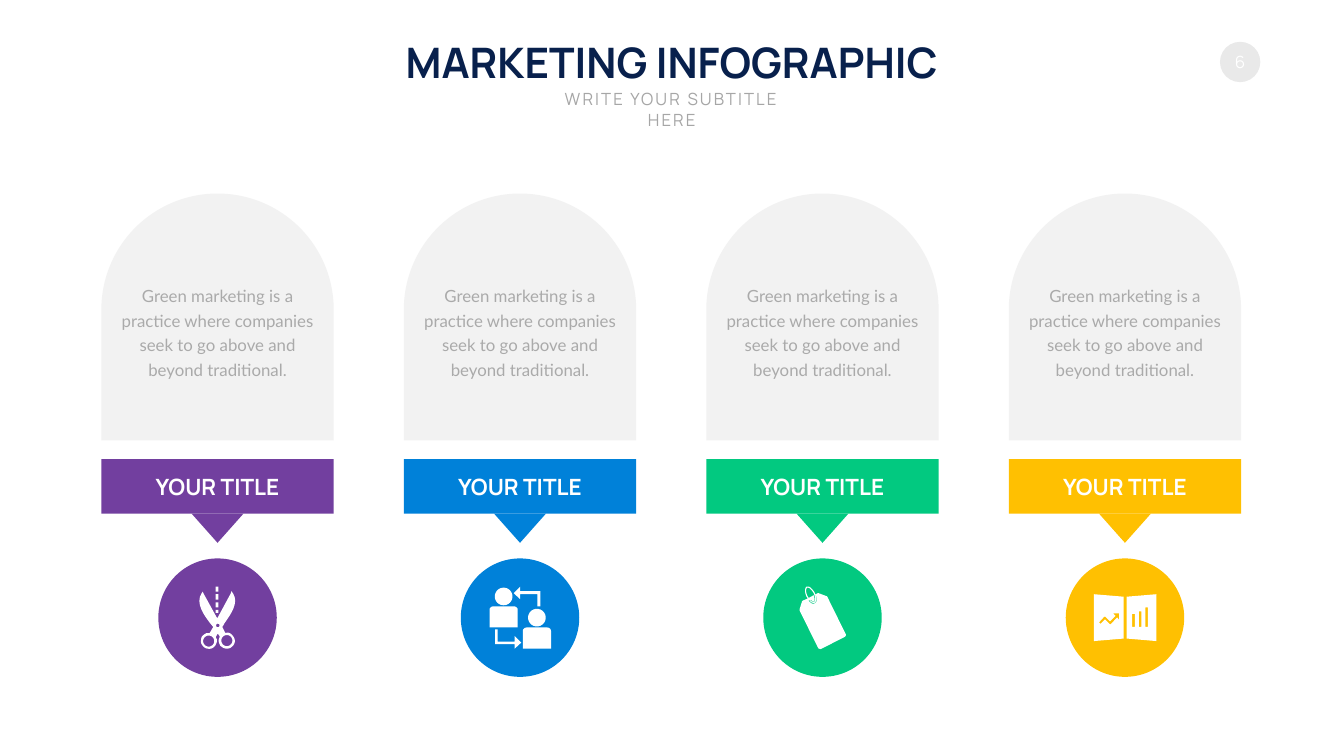
import math

import pptx
import pptx.dml.color
import pptx.enum.shapes
import pptx.enum.text
import pptx.util

Pt = pptx.util.Pt
SHAPES = pptx.enum.shapes.MSO_SHAPE
COLORS = {
    "navy": "08204C", "subtitle": "A6A6A6", "body": "AAAAAA", "arch": "F2F2F2",
    "badge": "E9E9E9", "white": "FFFFFF", "purple": "723F9F", "blue": "0081D9",
    "green": "02C980", "yellow": "FFC001",
}
BODY = "Green marketing is a practice where companies seek to go above and beyond traditional."
ICON_UNIT = 0.72


def color(name):
    return pptx.dml.color.RGBColor.from_string(COLORS[name])


def paint(shape, fill):
    shape.shadow.inherit = False
    shape.fill.solid()
    shape.fill.fore_color.rgb = color(fill)
    shape.line.fill.background()


def add_figure(page, kind, left, top, width, height, fill):
    shape = page.shapes.add_shape(kind, Pt(left), Pt(top), Pt(width), Pt(height))
    paint(shape, fill)
    return shape


def write(box, text, size, ink, font="Manrope", bold=False, wrap=True,
          middle=False, leading=None, tracking=0):
    frame = box.text_frame
    frame.word_wrap = wrap
    anchors = pptx.enum.text.MSO_ANCHOR
    frame.vertical_anchor = anchors.MIDDLE if middle else anchors.TOP
    para = frame.paragraphs[0]
    para.alignment = pptx.enum.text.PP_ALIGN.CENTER
    if leading:
        para.line_spacing = Pt(leading)
    span = para.add_run()
    span.text = text
    span.font.name = font
    span.font.size = Pt(size)
    span.font.bold = bold
    span.font.color.rgb = color(ink)
    if tracking:
        span.font._element.set("spc", str(tracking * 100))


def add_text(page, left, top, width, height, text, **style):
    box = page.shapes.add_textbox(Pt(left), Pt(top), Pt(width), Pt(height))
    write(box, text, **style)


def outline(*steps):
    points = []
    for step in steps:
        if len(step) == 2:
            points.append(step)
            continue
        controls = [points[-1], step[:2], step[2:4], step[4:]]
        for part in range(1, 9):
            t = part / 8
            weights = ((1 - t) ** 3, 3 * t * (1 - t) ** 2, 3 * t * t * (1 - t), t ** 3)
            points.append(tuple(sum(weight * control[axis] for weight, control
                                    in zip(weights, controls)) for axis in (0, 1)))
    return points


def circle(x, y, radius):
    angles = [math.tau * part / 32 for part in range(32)]
    return [(x + radius * math.cos(angle), y + radius * math.sin(angle)) for angle in angles]


def block(left, top, right, bottom):
    return [(left, top), (right, top), (right, bottom), (left, bottom)]


def person(x, y):
    body = outline((8, 37), (48, 37), (52, 37, 56, 40, 56, 44), (56, 79),
                   (0, 79), (0, 44), (0, 40, 4, 37, 8, 37))
    return [circle(x + 28, y + 17.5, 17.5), [(x + across, y + down) for across, down in body]]


def scissors():
    blades = outline(
        (145, 65), (148, 69), (161, 88, 143, 112, 131, 129), (130, 132, 128, 134, 127, 136),
        (133, 148), (138, 147), (142, 148, 146, 150, 148, 154), (151, 157, 152, 161, 152, 165),
        (151, 170, 149, 173, 145, 176), (142, 179, 138, 179, 134, 179),
        (129, 178, 126, 176, 123, 173), (121, 169, 119, 165, 120, 161), (122, 155), (118, 149),
        (114, 156), (116, 160), (116, 162, 116, 164, 116, 166), (115, 170, 113, 174, 110, 176),
        (107, 179, 102, 180, 98, 179), (94, 179, 90, 176, 88, 173), (85, 170, 84, 166, 85, 161),
        (85, 157, 87, 153, 91, 151), (92, 150, 94, 149, 96, 148), (102, 148), (109, 136),
        (107, 134, 106, 132, 104, 130), (91, 113, 73, 89, 86, 69), (88, 66), (90, 70),
        (117, 119), (144, 69))
    dashes = [block(114, top, 119, bottom)
              for top, bottom in ((56, 66), (71, 82), (87, 97), (102, 108))]
    return [blades, circle(100, 164, 11), circle(136, 163, 11), circle(118, 133, 3.5)] + dashes


def people():
    upper = [(118, 56), (118, 65), (158, 65), (158, 95), (152, 95), (152, 71),
             (118, 71), (118, 81), (105, 69)]
    lower = [(68, 141), (73, 141), (73, 165), (107, 165), (107, 154), (120, 167),
             (107, 179), (107, 170), (68, 170)]
    return person(57, 58) + person(123, 100) + [upper, lower]


def tag():
    label = outline(
        (110, 69), (126, 75), (127, 76), (163, 149), (164, 150, 164, 152, 164, 153),
        (163, 154, 162, 156, 161, 156), (116, 179), (114, 180, 113, 180, 111, 179),
        (110, 179, 109, 178, 108, 176), (72, 103), (72, 101), (77, 85), (78, 84), (87, 80),
        (91, 78), (100, 73), (101, 76, 101, 78, 102, 80), (102, 82, 101, 84, 100, 85),
        (99, 86, 97, 84, 96, 83), (94, 82), (89, 84), (91, 85), (91, 86, 92, 86, 93, 87),
        (95, 89, 99, 91, 102, 89), (106, 88, 106, 84, 106, 80), (106, 77, 105, 74, 104, 71),
        (108, 69))
    string = outline(
        (90, 56), (91, 56, 93, 57, 94, 58), (97, 61, 100, 64, 102, 68),
        (104, 72, 105, 77, 105, 80), (105, 84, 104, 87, 102, 88), (100, 89, 97, 88, 94, 86),
        (92, 84), (94, 83), (95, 84), (97, 86, 99, 87, 101, 86), (102, 85, 103, 83, 103, 80),
        (103, 77, 102, 73, 100, 69), (98, 65, 95, 62, 93, 60), (91, 58, 89, 58, 87, 58),
        (86, 59, 85, 61, 85, 64), (85, 67, 86, 71, 88, 75), (90, 78), (88, 79), (86, 76),
        (84, 72, 83, 68, 83, 64), (83, 60, 84, 57, 86, 56))
    return [label, string]


def report():
    pages = [[(inner, 76), (outer, 71), (outer, 164), (inner, 159)]
             for inner, outer in ((115, 56), (121, 180))]
    bars = [block(left, top, left + 5, 136) for left, top in ((132, 110), (145, 105), (158, 97))]
    trend = [(66, 127), (76, 116), (78, 115), (79, 116), (88, 125), (99, 114), (94, 109),
             (106, 109), (106, 122), (102, 117), (90, 130), (88, 131), (87, 130),
             (78, 121), (69, 130)]
    return pages + bars + [trend]


def add_icon(page, left, top, contours):
    unit = Pt(ICON_UNIT)
    scaled = [[(x * unit, y * unit) for x, y in contour] for contour in contours]
    builder = page.shapes.build_freeform(*scaled[0][0])
    for index, contour in enumerate(scaled):
        if index:
            builder.move_to(*contour[0])
        builder.add_line_segments(contour[1:], close=True)
    paint(builder.convert_to_shape(Pt(left), Pt(top)), "white")


def add_header(page, left, top, width):
    add_text(page, left, top, width, 79.92, "MARKETING INFOGRAPHIC",
             size=60, ink="navy", bold=True, wrap=False)
    subtitle_width = 390.96
    add_text(page, left + (width - subtitle_width) / 2, top + 75.6, subtitle_width, 36,
             "WRITE YOUR SUBTITLE HERE", size=24, ink="subtitle", tracking=3)


def add_page_badge(page, left, top, size):
    badge = add_figure(page, SHAPES.OVAL, left, top, size, size, "badge")
    write(badge, "6", size=24, ink="white", wrap=False, middle=True)


def add_column(page, left, top, width, fill, contours):
    def centered(part):
        return left + (width - part) / 2

    arch = add_figure(page, SHAPES.ROUND_2_SAME_RECTANGLE, left, top, width, 352.8, "arch")
    arch.adjustments[0] = 0.5
    arch.adjustments[1] = 0
    add_text(page, centered(290.16), top + 123.12, 290.16, 144.72, BODY,
             size=24, ink="body", font="Lato", middle=True, leading=35)
    banner = add_figure(page, SHAPES.RECTANGLE, left, top + 379.44, width, 77.76, fill)
    write(banner, "YOUR TITLE", size=32, ink="white", bold=True, wrap=False, middle=True)
    pointer = add_figure(page, SHAPES.ISOSCELES_TRIANGLE, centered(74.16), top + 457.2,
                         74.16, 41.76, fill)
    pointer.rotation = 180
    disc_left, disc_top = centered(169.2), top + 521.28
    add_figure(page, SHAPES.OVAL, disc_left, disc_top, 169.2, 169.2, fill)
    add_icon(page, disc_left, disc_top, contours)


def main():
    deck = pptx.Presentation()
    deck.slide_width = Pt(1919.52)
    deck.slide_height = Pt(1080)
    page = deck.slides.add_slide(deck.slide_layouts[6])
    add_page_badge(page, 1742.4, 59.76, 57.6)
    add_header(page, 555.12, 48.24, 808.56)
    columns = (("purple", scissors), ("blue", people), ("green", tag), ("yellow", report))
    for index, (fill, icon) in enumerate(columns):
        add_column(page, 144.72 + 432 * index, 276.48, 331.92, fill, icon())
    deck.save("out.pptx")


if __name__ == "__main__":
    main()
